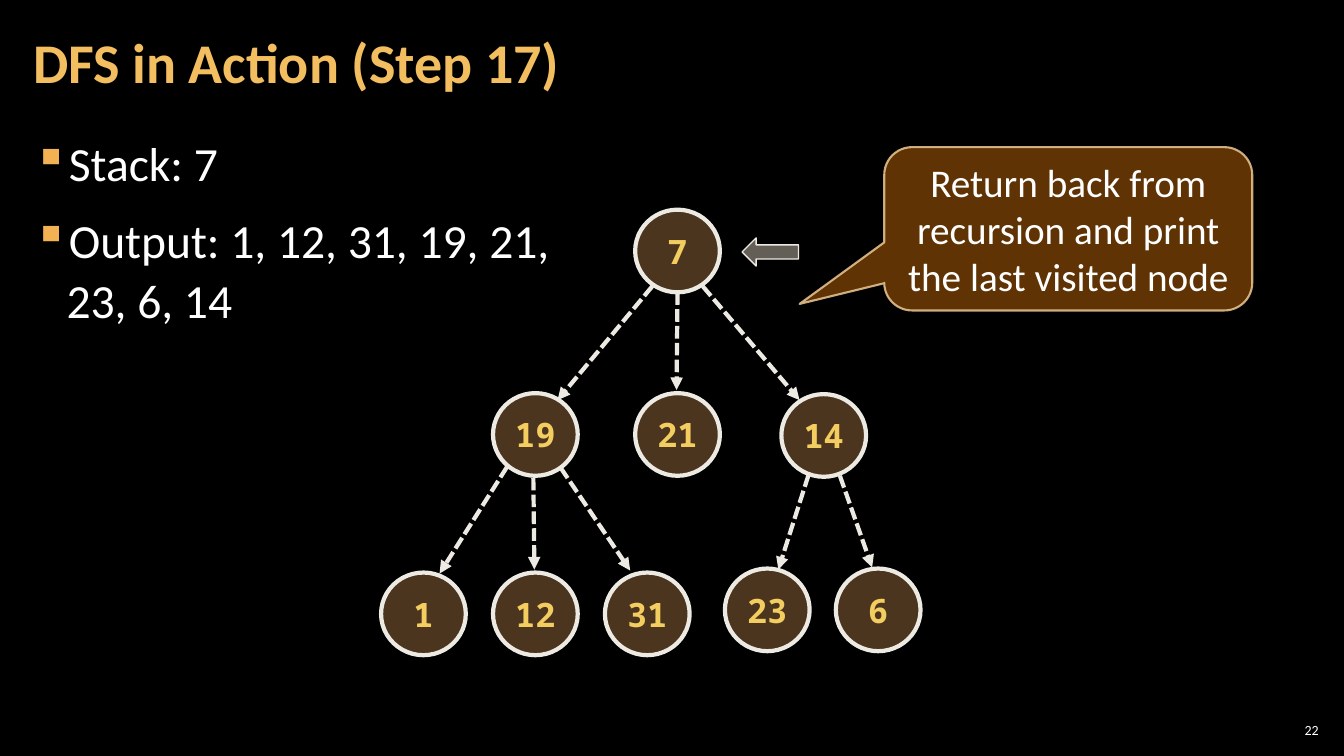
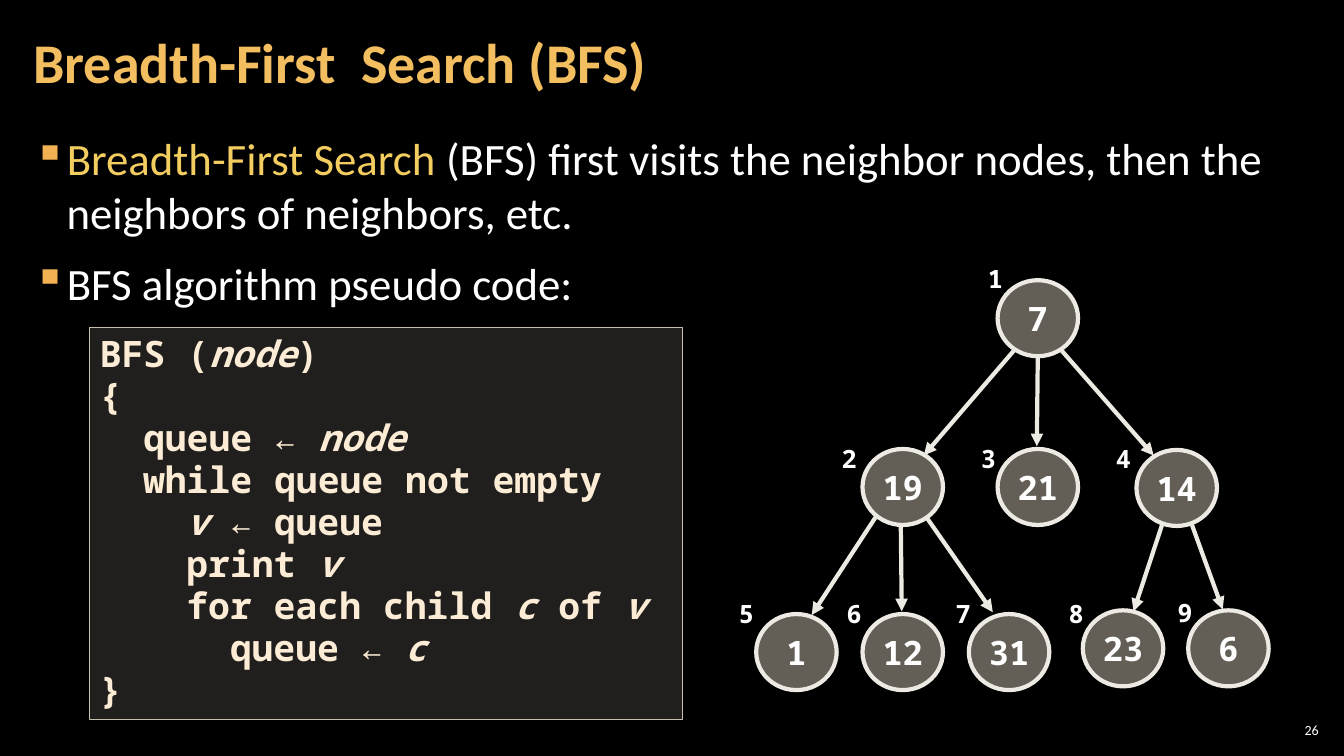
from dataclasses import dataclass, field
from typing import NamedTuple

from lxml.etree import SubElement
from pptx import Presentation
from pptx.dml.color import RGBColor as Rgb
from pptx.enum.dml import MSO_LINE as Dash
from pptx.enum.shapes import MSO_CONNECTOR as Link, MSO_SHAPE as Form
from pptx.enum.text import MSO_ANCHOR as Anchor, PP_ALIGN as Align
from pptx.oxml.ns import qn
from pptx.util import Inches, Pt

BLACK = Rgb(0x00, 0x00, 0x00)
WHITE = Rgb(0xFF, 0xFF, 0xFF)
AMBER = Rgb(0xF3, 0xBE, 0x60)
BULLET = Rgb(0xF2, 0xB2, 0x54)
GOLD = Rgb(0xF3, 0xCD, 0x60)
CREAM = Rgb(0xFC, 0xEC, 0xD5)
PALE = Rgb(0xEC, 0xEA, 0xE3)
STONE = Rgb(0xC7, 0xBF, 0xAC)
SAND = Rgb(0xD9, 0xD5, 0xC7)
BROWN = Rgb(0x6C, 0x4C, 0x2C)
RUST = Rgb(0x66, 0x36, 0x06)
TAN = Rgb(0xF8, 0xD4, 0x9E)

SANS = {"name": "Calibri", "ink": WHITE}
MONO = {"name": "Noto Sans Mono", "bold": True, "ink": WHITE}
TITLE = SANS | {"size": Pt(40), "bold": True, "ink": AMBER}
PAGE = SANS | {"size": Pt(10)}
CODE = MONO | {"size": Pt(26), "ink": CREAM}
NODE = MONO | {"size": Pt(24)}
ORDER = MONO | {"size": Pt(18)}

SLIM = {f"margin_{side}": Inches(0.04) for side in ("left", "right", "top", "bottom")}
WIDE = SLIM | {"margin_left": Inches(0.12), "margin_right": Inches(0.12)}
MID = {"vertical_anchor": Anchor.MIDDLE}


class Box(NamedTuple):
    left: float
    top: float
    wide: float
    high: float

    def span(self):
        return [Inches(v) for v in self]


class Node(NamedTuple):
    text: str
    x: float
    y: float


class Edge(NamedTuple):
    x1: float
    y1: float
    x2: float
    y2: float


class Skin(NamedTuple):
    fill: Rgb
    line: Rgb
    width: float
    fades: tuple


@dataclass
class Tree:
    left: float
    top: float
    skin: Skin
    font: dict
    wide: float = 1
    high: float = 1
    edge: dict = field(default_factory=dict)

    def spot(self, x: float, y: float) -> tuple:
        return self.left + x * self.wide, self.top + y * self.high


NODES = [
    Node("7", 2.52, 0), Node("19", 1.11, 1.82), Node("21", 2.52, 1.82),
    Node("14", 3.97, 1.83), Node("1", 0, 3.6), Node("12", 1.11, 3.6),
    Node("31", 2.22, 3.6), Node("23", 3.41, 3.56), Node("6", 4.51, 3.56),
]
EDGES = [
    Edge(2.69, 0.76, 1.75, 1.89), Edge(2.94, 0.82, 2.93, 1.79),
    Edge(3.19, 0.76, 4.15, 1.89), Edge(1.25, 2.55, 0.58, 3.61),
    Edge(1.51, 2.66, 1.52, 3.57), Edge(1.78, 2.56, 2.47, 3.58),
    Edge(4.24, 2.63, 3.94, 3.57), Edge(4.55, 2.64, 4.87, 3.55),
]
MARKS = [
    (9.7, 2.56), (8.25, 4.35), (9.63, 4.35), (10.97, 4.35),
    (7.23, 5.89), (8.3, 5.89), (9.38, 5.89), (10.5, 5.89), (11.58, 5.88),
]
LINES = [
    (0, "BFS (*node*)"), (0, "{"), (1, "queue ← *node"),
    (1, "while queue not empty"), (2, "*v *← queue"), (2, "print *v"),
    (2, "for each child *c* of *v"), (3, "queue ← *c"), (0, "}"),
]


def style(part, fmt: dict) -> None:
    for key, val in fmt.items():
        if key == "ink":
            part.color.rgb = val
        else:
            setattr(part, key, val)


def write(para, text: str, fmt: dict, alt: dict) -> None:
    for spot, piece in enumerate(text.split("*")):
        for row, words in enumerate(piece.split("\n")):
            if row:
                para.add_line_break()
            if words:
                run = para.add_run()
                run.text = words
                style(run.font, fmt | alt if spot % 2 else fmt)


def fill_text(shape, texts: list, fmt: dict, frame: dict, lay: dict, alt: dict) -> list:
    body = shape.text_frame
    style(body, {"word_wrap": True} | frame)
    for row, text in enumerate(texts):
        para = body.add_paragraph() if row else body.paragraphs[0]
        style(para, {"alignment": Align.LEFT} | lay)
        write(para, text, fmt, alt)
    return list(body.paragraphs)


def add_text(slide, box: Box, texts: list, fmt: dict, frame: dict = {},
             lay: dict = {}, alt: dict = {}) -> list:
    shape = slide.shapes.add_textbox(*box.span())
    return fill_text(shape, texts, fmt, frame, lay, alt)


def add_form(slide, form: Form, box: Box, skin: Skin):
    shape = slide.shapes.add_shape(form, *box.span())
    shape.shadow.inherit = False
    shape.fill.solid()
    shape.fill.fore_color.rgb = skin.fill
    shape.line.color.rgb = skin.line
    shape.line.width = Pt(skin.width)
    tints = list(shape.element.spPr.iter(qn("a:srgbClr")))
    for tint, fade in zip(tints, skin.fades):
        SubElement(tint, qn("a:alpha"), val=str(fade * 1000))
    return shape


def add_edge(slide, start: tuple, end: tuple, fmt: dict) -> None:
    ends = [Inches(v) for v in start + end]
    link = slide.shapes.add_connector(Link.STRAIGHT, *ends)
    style(link.line, {"width": Pt(3)} | fmt)
    link.line.color.rgb = PALE
    props = link.element.spPr
    SubElement(props.find(qn("a:ln")), qn("a:tailEnd"), type="triangle")
    SubElement(props, qn("a:effectLst"))


def add_tree(slide, tree: Tree) -> None:
    for edge in EDGES:
        add_edge(slide, tree.spot(edge.x1, edge.y1), tree.spot(edge.x2, edge.y2), tree.edge)
    for node in NODES:
        box = Box(*tree.spot(node.x, node.y), 0.84 * tree.wide, 0.82 * tree.high)
        shape = add_form(slide, Form.OVAL, box, tree.skin)
        fill_text(shape, [node.text], tree.font, MID | {"word_wrap": False},
                  {"alignment": Align.CENTER}, {})


def add_points(slide, texts: list, size: int, space: float) -> None:
    lay = {"space_before": Pt(6), "space_after": Pt(6), "line_spacing": space}
    paras = add_text(slide, Box(0.21, 1.26, 12.91, 6.09), texts,
                     SANS | {"size": Pt(size)}, WIDE, lay, {"ink": GOLD})
    for para in paras:
        props = para._p.get_or_add_pPr()
        props.set("marL", str(Inches(0.33)))
        props.set("indent", str(-Inches(0.33)))
        SubElement(SubElement(props, qn("a:buClr")), qn("a:srgbClr"), val=str(BULLET))
        SubElement(props, qn("a:buChar"), char="▪")


def add_page(deck, title: str, page: str):
    slide = deck.slides.add_slide(deck.slide_layouts[6])
    add_text(slide, Box(0.21, 0.04, 10.47, 1.21), [title], TITLE, WIDE | MID,
             {"line_spacing": 0.9})
    add_text(slide, Box(12.65, 7.14, 0.47, 0.21), [page], PAGE, SLIM | MID,
             {"alignment": Align.RIGHT})
    return slide


def draw_depth(deck) -> None:
    slide = add_page(deck, "DFS in Action (Step 17)", "22")
    add_points(slide, ["Stack: 7", "Output: 1, 12, 31, 19, 21,\n23, 6, 14"], 34, 1.05)
    add_tree(slide, Tree(3.78, 2.08, Skin(BROWN, PALE, 3, (70,)), NODE | {"ink": GOLD},
                         edge={"dash_style": Dash.SQUARE_DOT}))
    add_form(slide, Form.LEFT_ARROW, Box(7.36, 2.36, 0.56, 0.28), Skin(STONE, PALE, 1, (50,)))
    note = add_form(slide, Form.ROUNDED_RECTANGULAR_CALLOUT, Box(8.77, 1.46, 3.65, 1.62),
                    Skin(RUST, TAN, 1.5, (95, 80)))
    for spot, val in enumerate((-0.73, 0.46, 0.17)):
        note.adjustments[spot] = val
    fill_text(note, ["Return back from recursion and print the last visited node"],
              SANS | {"size": Pt(28)}, MID, {"alignment": Align.CENTER}, {})


def draw_breadth(deck) -> None:
    slide = add_page(deck, "Breadth-First  Search (BFS)", "26")
    add_points(slide, [
        "*Breadth-First Search *(BFS) first visits the neighbor nodes, "
        "then the neighbors of neighbors, etc.",
        "BFS algorithm pseudo code:",
    ], 32, 1.0)
    panel = add_form(slide, Form.RECTANGLE, Box(0.89, 3.25, 5.88, 3.89),
                     Skin(SAND, STONE, 1, (15,)))
    paras = fill_text(panel, [text for _, text in LINES], CODE,
                      {"vertical_anchor": Anchor.TOP}, {"line_spacing": Pt(30)},
                      {"italic": True})
    for para, (depth, _) in zip(paras, LINES):
        para._p.get_or_add_pPr().set("marL", str(Inches(0.43 * depth)))
    add_tree(slide, Tree(7.5, 2.78, Skin(STONE, PALE, 3, (50,)), NODE, 0.95, 0.92))
    for rank, (x, y) in enumerate(MARKS, 1):
        add_text(slide, Box(x, y, 0.34, 0.42), [str(rank)], ORDER, {"word_wrap": False})


def main() -> None:
    deck = Presentation()
    style(deck, {"slide_width": Inches(13.33), "slide_height": Inches(7.5)})
    back = deck.slide_master.background.fill
    back.solid()
    back.fore_color.rgb = BLACK
    draw_depth(deck)
    draw_breadth(deck)
    deck.save("out.pptx")


if __name__ == "__main__":
    main()
